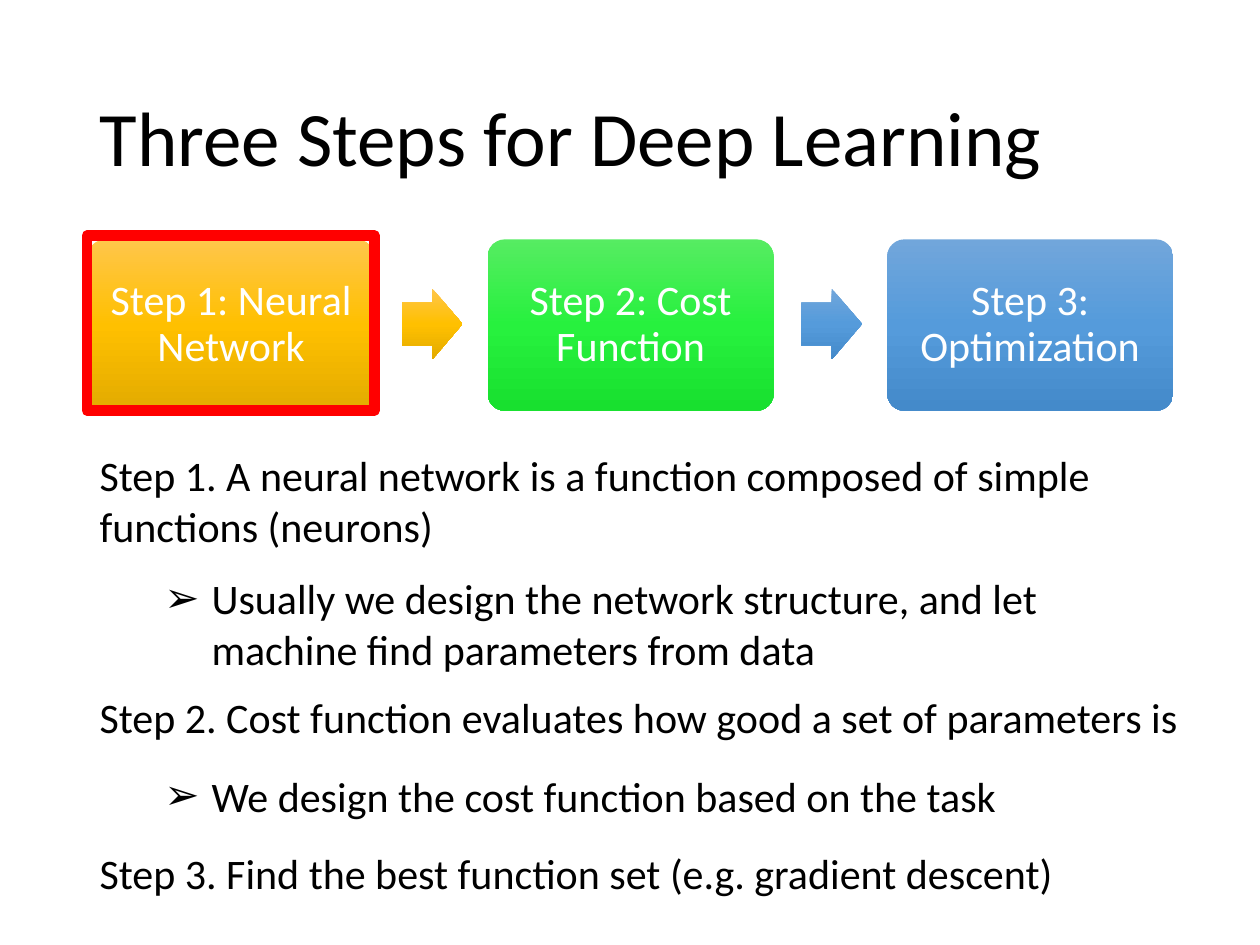
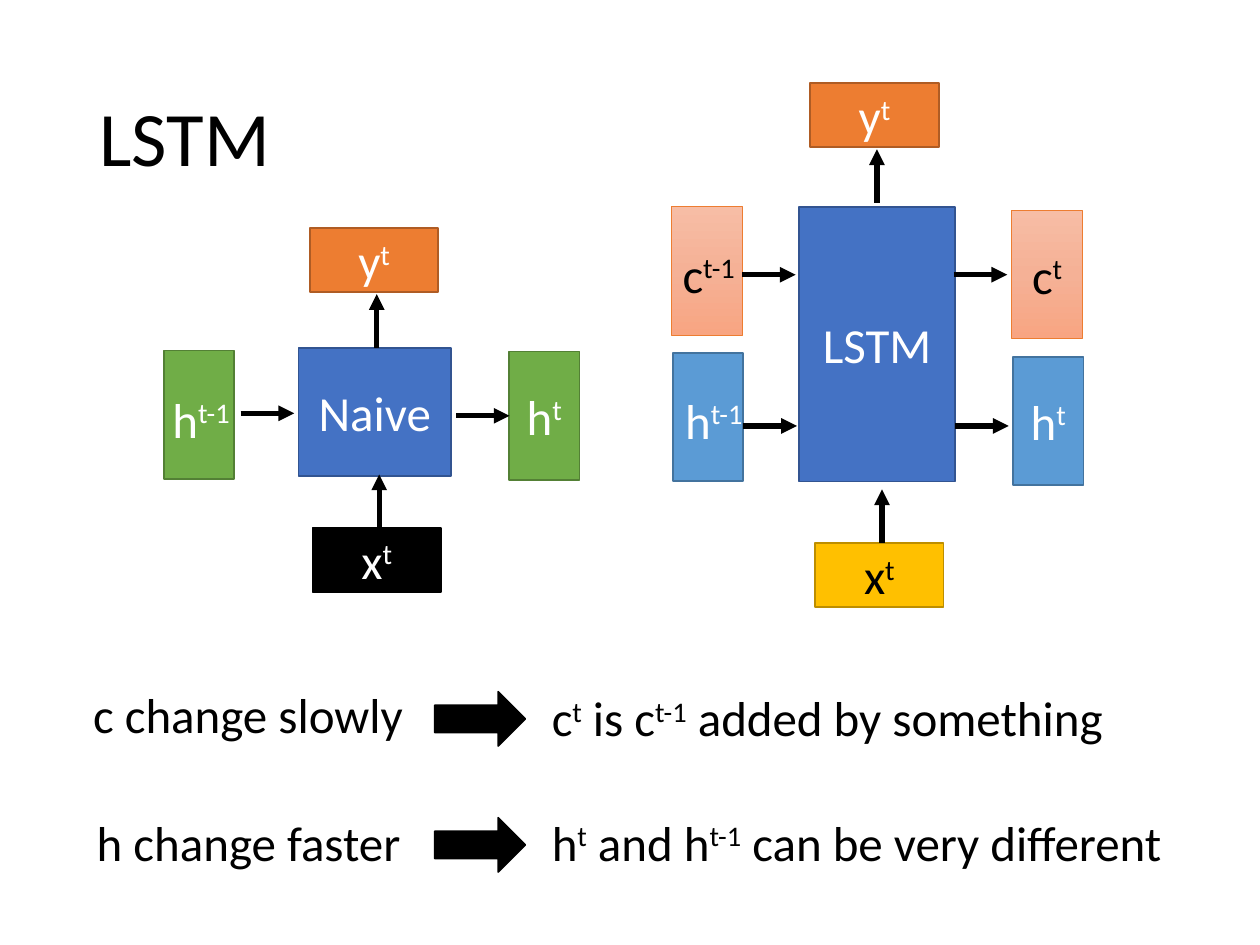
from copy import deepcopy
from typing import NamedTuple, Optional

from pptx import Presentation
from pptx.dml.color import RGBColor
from pptx.enum import shapes, text
from pptx.oxml import parse_xml
from pptx.oxml.ns import nsdecls, qn
from pptx.util import Pt

FONT = "Calibri"
BLACK = RGBColor(0, 0, 0)
WHITE = RGBColor(255, 255, 255)
RED = RGBColor(0xFF, 0, 0)
GOLD = RGBColor(0xFF, 0xC0, 0)
GOLD_EDGE = RGBColor(0xBD, 0x8E, 0)
NAVY = RGBColor(0x44, 0x72, 0xC4)
NAVY_EDGE = RGBColor(0x32, 0x54, 0x91)
GREEN = RGBColor(0x70, 0xAD, 0x47)
GREEN_EDGE = RGBColor(0x53, 0x80, 0x35)
ORANGE = RGBColor(0xED, 0x7D, 0x31)
ORANGE_EDGE = RGBColor(0xAF, 0x5C, 0x24)
BLUE = RGBColor(0x5B, 0x9B, 0xD5)
BLUE_EDGE = RGBColor(0x43, 0x73, 0x9E)
GOLD_FADE = (RGBColor(0xFF, 0xC6, 0x4B), GOLD, RGBColor(0xE3, 0xAB, 0))
GREEN_FADE = (RGBColor(0x56, 0xEC, 0x62), RGBColor(0x27, 0xF1, 0x3E), RGBColor(0x18, 0xE0, 0x2F))
BLUE_FADE = (RGBColor(0x71, 0xA6, 0xDB), RGBColor(0x55, 0x9B, 0xDB), RGBColor(0x44, 0x8A, 0xCA))
PEACH_FADE = (RGBColor(0xF7, 0xBD, 0xA5), RGBColor(0xF5, 0xB1, 0x96), RGBColor(0xF8, 0xA5, 0x82))

RECT = shapes.MSO_SHAPE.RECTANGLE
ROUNDED = shapes.MSO_SHAPE.ROUNDED_RECTANGLE
ARROW = shapes.MSO_SHAPE.RIGHT_ARROW
CENTER, LEFT = text.PP_ALIGN.CENTER, text.PP_ALIGN.LEFT
SIDE = (40.3, 73.4)
WIDE = (73.4, 36.7)
ARROW_LENGTH = 30.6
RIGHT, UP = (ARROW_LENGTH, 0), (0, -ARROW_LENGTH)


class Box(NamedTuple):
    x: float
    y: float
    size: tuple
    fill: object = None
    edge: Optional[RGBColor] = None
    label: str = ""
    color: RGBColor = WHITE
    kind: int = RECT
    edge_width: float = 1
    font_size: float = 28


class Label(NamedTuple):
    x: float
    y: float
    width: float
    label: str
    color: RGBColor = BLACK
    centered: bool = False


class Item(NamedTuple):
    label: str
    gap: float
    bulleted: bool = False


class Flow(NamedTuple):
    x: float
    y: float
    step: tuple


STEPS = [
    ("Step 1: Neural Network", GOLD_FADE),
    ("Step 2: Cost Function", GREEN_FADE),
    ("Step 3: Optimization", BLUE_FADE),
]
STEP_X, STEP_Y, STEP_PITCH = 50.4, 136.8, 228.3
STEP_SIZE = (163.4, 97.9)

ITEMS = [
    Item("Step 1. A neural network is a function composed of simple functions (neurons)", 0),
    Item("Usually we design the network structure, and let machine find parameters from data", 12.7, True),
    Item("Step 2. Cost function evaluates how good a set of parameters is", 10.5),
    Item("We design the cost function based on the task", 16, True),
    Item("Step 3. Find the best function set (e.g. gradient descent)", 15.4),
]

CELLS = [
    Box(93.6, 200.2, SIDE, GREEN, GREEN_EDGE),
    Box(170.6, 198.7, (87.1, 73.4), NAVY, NAVY_EDGE, "Naive"),
    Box(290.9, 200.9, SIDE, GREEN, GREEN_EDGE, "h^t"),
    Box(177.1, 130.3, WIDE, ORANGE, ORANGE_EDGE, "y^t"),
    Box(178.6, 301.7, WIDE, BLACK, BLACK, "x^t"),
    Box(456.5, 118.1, (89.3, 157), NAVY, NAVY_EDGE, "LSTM"),
    Box(383.8, 118.1, SIDE, PEACH_FADE, ORANGE, edge_width=0.5),
    Box(463, 47.5, WIDE, ORANGE, ORANGE_EDGE, "y^t"),
    Box(465.8, 310.3, WIDE, GOLD, GOLD_EDGE, "x^t", BLACK),
    Box(384.5, 201.6, SIDE, BLUE, BLUE_EDGE),
    Box(578.2, 120.2, SIDE, PEACH_FADE, ORANGE, "c^t", BLACK, edge_width=0.5),
    Box(578.9, 203.8, SIDE, BLUE, BLUE_EDGE, "h^t"),
    Box(248.4, 395.3, (51.8, 31), BLACK, BLACK, kind=ARROW),
    Box(248.4, 467.3, (51.8, 31), BLACK, BLACK, kind=ARROW),
]

FLOWS = [
    Flow(137.5, 236.2, RIGHT),
    Flow(260.6, 237.6, RIGHT),
    Flow(215.3, 198.7, UP),
    Flow(216.7, 301.7, UP),
    Flow(424.1, 157, RIGHT),
    Flow(424.8, 243.4, RIGHT),
    Flow(545, 157, RIGHT),
    Flow(545.8, 243.4, RIGHT),
    Flow(501.1, 115.9, UP),
    Flow(504, 310.3, UP),
]

LABELS = [
    Label(89.3, 218.9, 51.1, "h^t-1", WHITE, True),
    Label(382.3, 219.6, 51.1, "h^t-1", WHITE, True),
    Label(380.9, 136.1, 48.2, "c^t-1", BLACK, True),
    Label(46.1, 387.4, 206, "c change slowly"),
    Label(48.2, 460.8, 206, "h change faster"),
    Label(308.2, 389.5, 353.5, "c^t^ is c^t-1^ added by something"),
    Label(308.2, 460.8, 392.4, "h^t^ and h^t-1^ can be very different"),
]


def write(p, label: str, size: float, color: RGBColor) -> None:
    """Fill a paragraph; every second part between carets is superscript."""
    for i, part in enumerate(label.split("^")):
        if not part:
            continue
        r = p.add_run()
        r.text = part
        for name, value in {"name": FONT, "size": Pt(size)}.items():
            setattr(r.font, name, value)
        r.font.color.rgb = color
        if i % 2:
            r._r.get_or_add_rPr().set("baseline", "30000")


def place(sp, x: float, y: float, width: float, height: float) -> None:
    frame = {"left": x, "top": y, "width": width, "height": height}
    for name, value in frame.items():
        setattr(sp, name, Pt(value))


def paint(sp, fill) -> None:
    """Apply no fill, a solid colour, or a top-to-bottom fade of three colours."""
    if fill is None:
        sp.fill.background()
    elif isinstance(fill, RGBColor):
        sp.fill.solid()
        sp.fill.fore_color.rgb = fill
    else:
        sp.fill.gradient()
        sp.fill.gradient_angle = 270
        stops = sp._element.spPr.find(".//" + qn("a:gsLst"))
        stops.insert(1, deepcopy(stops[0]))
        for i, (stop, color) in enumerate(zip(sp.fill.gradient_stops, fill)):
            stop.position = i / 2
            stop.color.rgb = color


def add_box(slide, box: Box):
    sp = slide.shapes.add_shape(box.kind, *map(Pt, (box.x, box.y, *box.size)))
    sp.shadow.inherit = False
    paint(sp, box.fill)
    if box.edge is None:
        sp.line.fill.background()
    else:
        sp.line.color.rgb = box.edge
        sp.line.width = Pt(box.edge_width)
    if box.label:
        tf = sp.text_frame
        tf.vertical_anchor = text.MSO_ANCHOR.MIDDLE
        p = tf.paragraphs[0]
        p.alignment = CENTER
        write(p, box.label, box.font_size, box.color)
    return sp


def add_label(slide, item: Label) -> None:
    sp = slide.shapes.add_textbox(*map(Pt, (item.x, item.y, item.width, 41)))
    tf = sp.text_frame
    tf.word_wrap = not item.centered
    p = tf.paragraphs[0]
    p.alignment = CENTER if item.centered else LEFT
    write(p, item.label, 28, item.color)


def add_flow(slide, flow: Flow) -> None:
    end = (flow.x + flow.step[0], flow.y + flow.step[1])
    cx = slide.shapes.add_connector(
        shapes.MSO_CONNECTOR.STRAIGHT, *map(Pt, (flow.x, flow.y, *end)))
    cx.line.color.rgb = BLACK
    cx.line.width = Pt(3)
    cx.line._get_or_add_ln().append(parse_xml(f'<a:tailEnd {nsdecls("a")} type="triangle"/>'))
    cx._element.spPr.append(parse_xml(f'<a:effectLst {nsdecls("a")}/>'))


def add_titled_slide(prs, layout: int, title: str):
    slide = prs.slides.add_slide(prs.slide_layouts[layout])
    sp = slide.shapes.title
    place(sp, 49.7, 28.8, 620.6, 104.4)
    sp.text_frame.vertical_anchor = text.MSO_ANCHOR.MIDDLE
    p = sp.text_frame.paragraphs[0]
    for name, value in {"alignment": LEFT, "line_spacing": 0.9}.items():
        setattr(p, name, value)
    write(p, title, 44, BLACK)
    return slide


def fill_list(sp, items: list) -> None:
    place(sp, 49.7, 253.4, 634, 266.4)
    tf = sp.text_frame
    tf.auto_size = text.MSO_AUTO_SIZE.NONE
    for i, item in enumerate(items):
        p = tf.add_paragraph() if i else tf.paragraphs[0]
        p.level = int(item.bulleted)
        p.space_before = Pt(item.gap)
        pPr = p._p.get_or_add_pPr()
        pPr.set("marL", str(Pt(64 if item.bulleted else 0)))
        pPr.set("indent", str(Pt(-27 if item.bulleted else 0)))
        bullet = 'buChar {} char="➢"' if item.bulleted else "buNone {}"
        pPr.append(parse_xml(f'<a:{bullet.format(nsdecls("a"))}/>'))
        write(p, item.label, 24, BLACK)


def build_steps(prs) -> None:
    slide = add_titled_slide(prs, 1, "Three Steps for Deep Learning")
    fill_list(slide.placeholders[1], ITEMS)
    for i, (label, fade) in enumerate(STEPS):
        x = STEP_X + i * STEP_PITCH
        sp = add_box(slide, Box(x, STEP_Y, STEP_SIZE, fade, label=label, kind=ROUNDED, font_size=24))
        sp.adjustments[0] = 0.1
        sp.text_frame.paragraphs[0].line_spacing = 0.9
        for side in ("left", "right", "top", "bottom"):
            setattr(sp.text_frame, f"margin_{side}", Pt(7.2))
        if i:
            arrow_fade = STEPS[0][1] if i == 1 else fade
            arrow = add_box(slide, Box(x - 49, 164.9, (34.6, 40.5), arrow_fade, kind=ARROW))
            arrow.adjustments[0] = 0.6
    add_box(slide, Box(49.7, 134.6, (164.2, 100.1), edge=RED, edge_width=6))


def build_lstm(prs) -> None:
    slide = add_titled_slide(prs, 5, "LSTM")
    for draw, items in ((add_box, CELLS), (add_flow, FLOWS), (add_label, LABELS)):
        for item in items:
            draw(slide, item)


def main() -> None:
    prs = Presentation()
    prs.slide_width, prs.slide_height = Pt(720), Pt(540)
    build_steps(prs)
    build_lstm(prs)
    prs.save("out.pptx")


if __name__ == "__main__":
    main()
